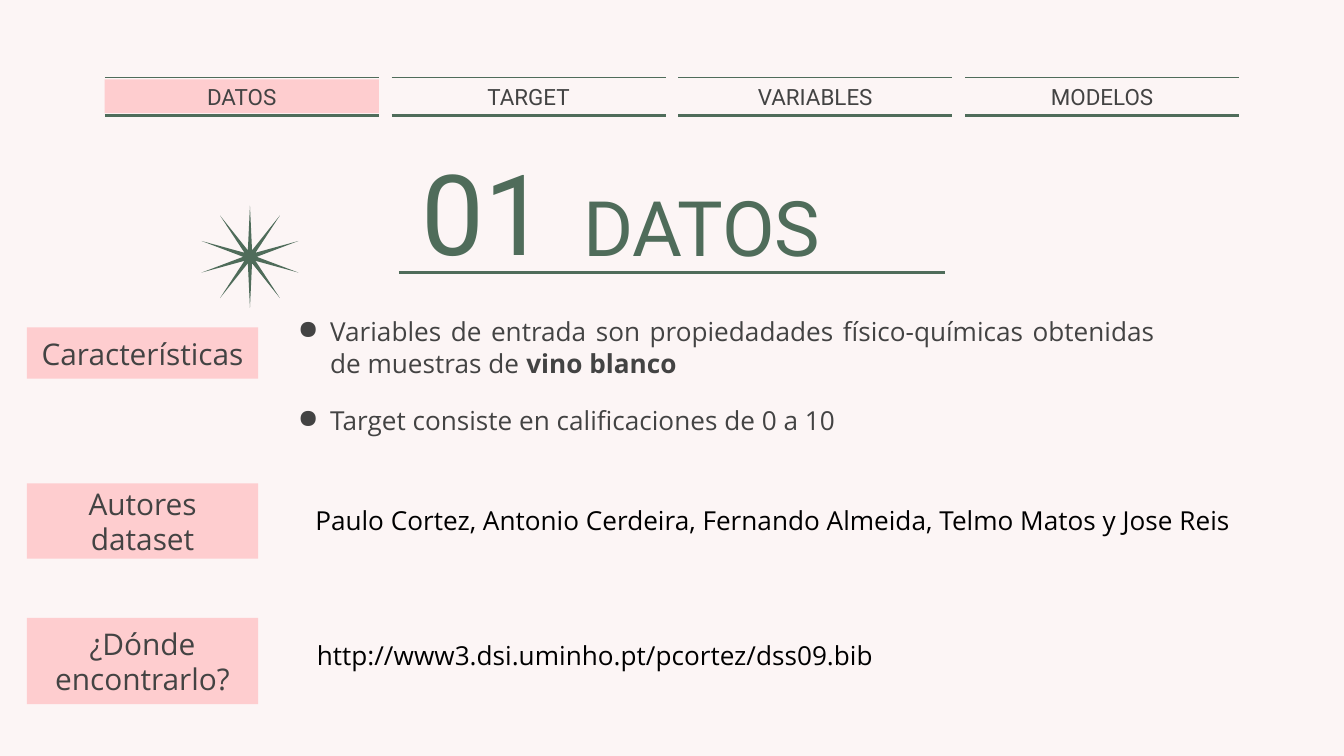
from lxml.etree import SubElement
from pptx import Presentation
from pptx.dml.color import RGBColor
from pptx.enum.shapes import MSO_CONNECTOR as Line, MSO_SHAPE as Preset
from pptx.enum.text import MSO_ANCHOR as Anchor, PP_ALIGN as Align
from pptx.oxml.ns import qn
from pptx.util import Cm, Pt

PAPER, PINK, GREEN, GREY, BLACK = "FCF5F5", "FECDCF", "4F6C5A", "434343", "000000"
HEADING, BODY = "Roboto", "Open Sans"


def paint(color_format, value):
    color_format.rgb = RGBColor.from_string(value)


class Painter:
    """Hold the style and the current page, and add each kind of element."""

    def __init__(self, deck):
        self.page = deck.slides.add_slide(deck.slide_layouts[6])
        self.fill(self.page.background, PAPER)

    def fill(self, target, color):
        target.fill.solid()
        paint(target.fill.fore_color, color)

    def shape(self, preset, place, color):
        shape = self.page.shapes.add_shape(preset, *map(Cm, place))
        shape.shadow.inherit = False
        shape.line.fill.background()
        self.fill(shape, color)
        return shape

    def line(self, left, right, y, width):
        line = self.page.shapes.add_connector(Line.STRAIGHT, Cm(left), Cm(y), Cm(right), Cm(y))
        line.line.width = Pt(width)
        paint(line.line.color, GREEN)
        SubElement(line._element.spPr, qn("a:effectLst"))

    def span(self, para, text, font, size, color, bold=False):
        span = para.add_run()
        span.text = text
        span.font.name, span.font.size, span.font.bold = font, Pt(size), bold
        paint(span.font.color, color)

    def frame(self, box, anchor, margin):
        frame = box.text_frame
        frame.word_wrap = True
        frame.vertical_anchor = anchor
        frame.margin_left = frame.margin_right = Cm(0.25)
        frame.margin_top = frame.margin_bottom = Cm(margin)
        return frame

    def text(self, place, text, font, size, color, align=Align.LEFT,
             anchor=Anchor.MIDDLE, margin=0.25, back=None):
        if back:
            box = self.shape(Preset.RECTANGLE, place, back)
        else:
            box = self.page.shapes.add_textbox(*map(Cm, place))
        para = self.frame(box, anchor, margin).paragraphs[0]
        para.alignment = align
        self.span(para, text, font, size, color)

    def bullets(self, place, items, size, gap):
        box = self.page.shapes.add_textbox(*map(Cm, place))
        frame = self.frame(box, Anchor.TOP, 0.13)
        for index, spans in enumerate(items):
            para = frame.add_paragraph() if index else frame.paragraphs[0]
            para.alignment = Align.JUSTIFY
            para.space_before = Pt(gap if index else 0)
            props = para._p.get_or_add_pPr()
            props.set("marL", str(Cm(0.66)))
            props.set("indent", str(Cm(-0.61)))
            color = SubElement(props, qn("a:buClr"))
            SubElement(color, qn("a:srgbClr"), val=GREY)
            SubElement(props, qn("a:buChar"), char="●")
            for text, bold in spans:
                self.span(para, text, BODY, size, GREY, bold)


def main():
    deck = Presentation()
    deck.slide_width, deck.slide_height = Cm(25.4), Cm(14.29)
    painter = Painter(deck)

    tab_width, tab_pitch = 5.18, 5.42
    for index, name in enumerate(["DATOS", "TARGET", "VARIABLES", "MODELOS"]):
        left = 1.98 + index * tab_pitch
        painter.text((left, 1.5, tab_width, 0.64), name, HEADING, 12, GREY,
                     Align.CENTER, back=None if index else PINK)
        painter.line(left, left + tab_width, 1.47, 0.75)
        painter.line(left, left + tab_width, 2.18, 1.5)

    painter.text((7.54, 3.07, 3.23, 1.83), "01", HEADING, 60, GREEN, Align.CENTER)
    painter.text((10.77, 3.35, 7.92, 1.83), "DATOS", HEADING, 41, GREEN)
    painter.line(7.54, 17.86, 5.15, 1.5)
    star = painter.shape(Preset.STAR_10_POINT, (3.81, 3.89, 1.83, 1.93), GREEN)
    star.adjustments[0] = 0.067

    for top, height, label in [(6.19, 0.97, "Características"),
                               (9.14, 1.42, "Autores dataset"),
                               (11.68, 1.63, "¿Dónde encontrarlo?")]:
        painter.text((0.51, top, 4.37, height), label, BODY, 16, GREY,
                     Align.CENTER, back=PINK)

    painter.bullets((5.33, 5.84, 16.76, 2.62), [
        [("Variables de entrada son propiedadades físico-químicas obtenidas de muestras de ", False),
         ("vino blanco", True)],
        [("Target consiste en calificaciones de 0 a 10", False)],
    ], 14, 14)
    for left, top, answer in [
            (5.71, 9.4, "Paulo Cortez, Antonio Cerdeira, Fernando Almeida, Telmo Matos y Jose Reis"),
            (5.74, 11.96, "http://www3.dsi.uminho.pt/pcortez/dss09.bib")]:
        painter.text((left, top, 18, 0.86), answer, BODY, 14, BLACK,
                     anchor=Anchor.TOP, margin=0.13)

    deck.save("out.pptx")


if __name__ == "__main__":
    main()
